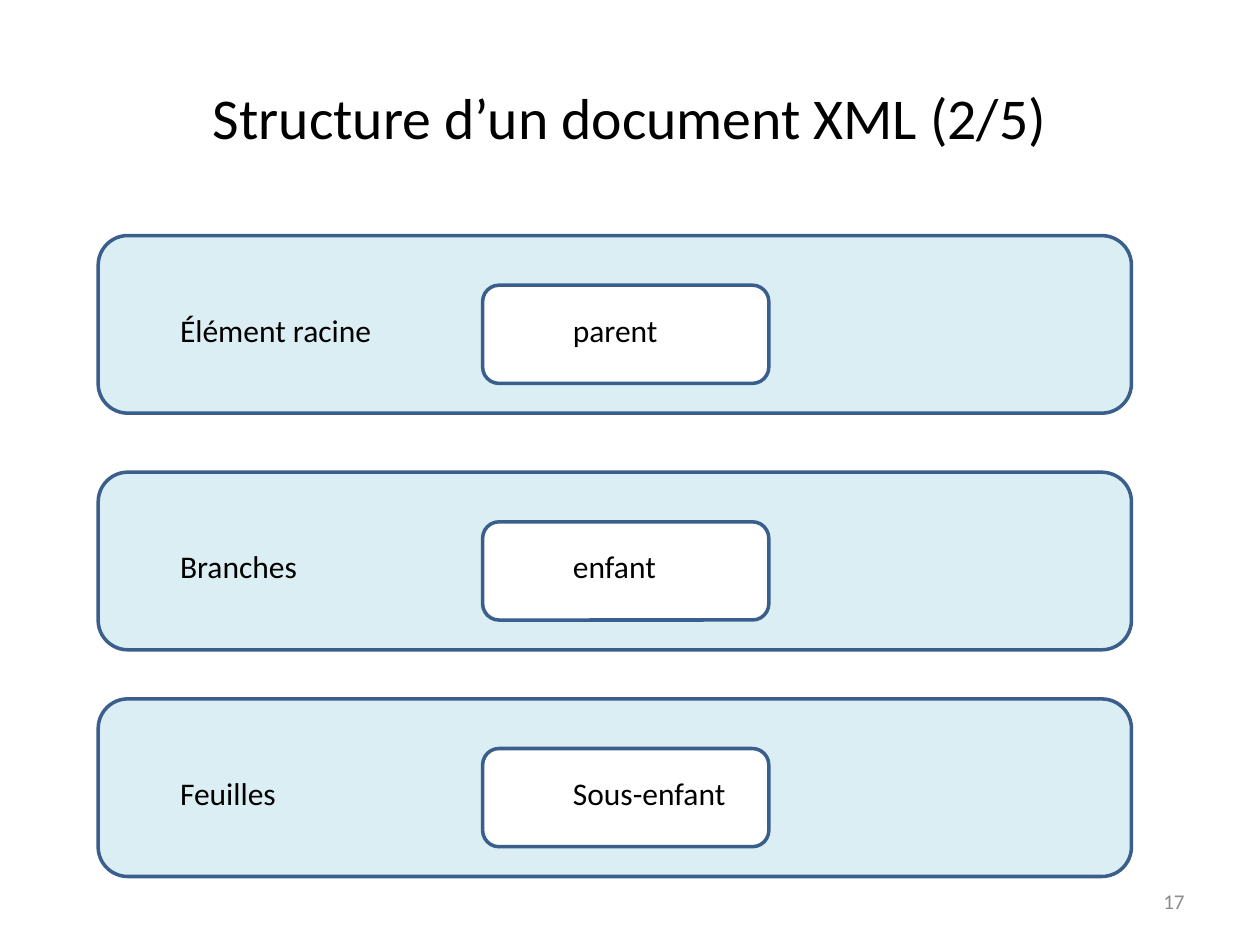
from dataclasses import dataclass

from pptx import Presentation
from pptx.dml.color import RGBColor
from pptx.enum.shapes import MSO_SHAPE as Shape
from pptx.enum.text import MSO_ANCHOR as Anchor, MSO_AUTO_SIZE as AutoSize, PP_ALIGN as Align
from pptx.util import Cm, Pt


@dataclass(frozen=True)
class Theme:
    font: str = "Calibri"
    text: str = "000000"
    muted: str = "8C8C8C"
    band: str = "DBEEF4"
    box: str = "FFFFFF"
    outline: str = "3A5F8C"
    title_size: int = 33
    label_size: int = 18
    number_size: int = 12
    outline_width: int = 2


class SlideBuilder:
    def __init__(self, slide, theme):
        self.slide = slide
        self.theme = theme

    def set_text(self, frame, text, size, color, align, anchor):
        frame.word_wrap = True
        frame.vertical_anchor = anchor
        paragraph = frame.paragraphs[0]
        paragraph.text = text
        paragraph.alignment = align
        paragraph.font.name = self.theme.font
        paragraph.font.size = Pt(size)
        paragraph.font.color.rgb = RGBColor.from_string(color)

    def title(self, text, left, top, width, height):
        shape = self.slide.shapes.title
        shape.left, shape.top = Cm(left), Cm(top)
        shape.width, shape.height = Cm(width), Cm(height)
        shape.text_frame.auto_size = AutoSize.NONE
        self.set_text(shape.text_frame, text, self.theme.title_size, self.theme.text,
                      Align.CENTER, Anchor.MIDDLE)

    def rounded_box(self, left, top, width, height, fill):
        shape = self.slide.shapes.add_shape(
            Shape.ROUNDED_RECTANGLE, Cm(left), Cm(top), Cm(width), Cm(height))
        shape.shadow.inherit = False
        shape.fill.solid()
        shape.fill.fore_color.rgb = RGBColor.from_string(fill)
        shape.line.color.rgb = RGBColor.from_string(self.theme.outline)
        shape.line.width = Pt(self.theme.outline_width)

    def text_box(self, left, top, width, text):
        shape = self.slide.shapes.add_textbox(Cm(left), Cm(top), Cm(width), Cm(1.02))
        self.set_text(shape.text_frame, text, self.theme.label_size, self.theme.text,
                      Align.LEFT, Anchor.TOP)
        shape.text_frame.auto_size = AutoSize.SHAPE_TO_FIT_TEXT

    def slide_number(self, left, top, width, text):
        shape = self.slide.shapes.add_textbox(Cm(left), Cm(top), Cm(width), Cm(1.02))
        self.set_text(shape.text_frame, text, self.theme.number_size, self.theme.muted,
                      Align.RIGHT, Anchor.MIDDLE)

    def level(self, top, label, node):
        self.rounded_box(1.98, top, 20.83, 3.58, self.theme.band)
        self.rounded_box(9.73, top + 1, 5.77, 1.98, self.theme.box)
        self.text_box(11.3, top + 1.39, 6.15, node)
        self.text_box(3.38, top + 1.39, 4.95, label)


def main():
    presentation = Presentation()
    presentation.slide_width, presentation.slide_height = Cm(25.4), Cm(19.05)
    slide = presentation.slides.add_slide(presentation.slide_layouts[5])
    builder = SlideBuilder(slide, Theme())
    builder.title("Structure d’un document XML (2/5)", 1.27, 0.76, 22.86, 3.18)
    levels = [
        (4.75, "Élément racine", "parent"),
        (9.52, "Branches", "enfant"),
        (14.09, "Feuilles", "Sous-enfant"),
    ]
    for top, label, node in levels:
        builder.level(top, label, node)
    builder.slide_number(18.21, 17.65, 5.92, "17")
    presentation.save("out.pptx")


if __name__ == "__main__":
    main()
